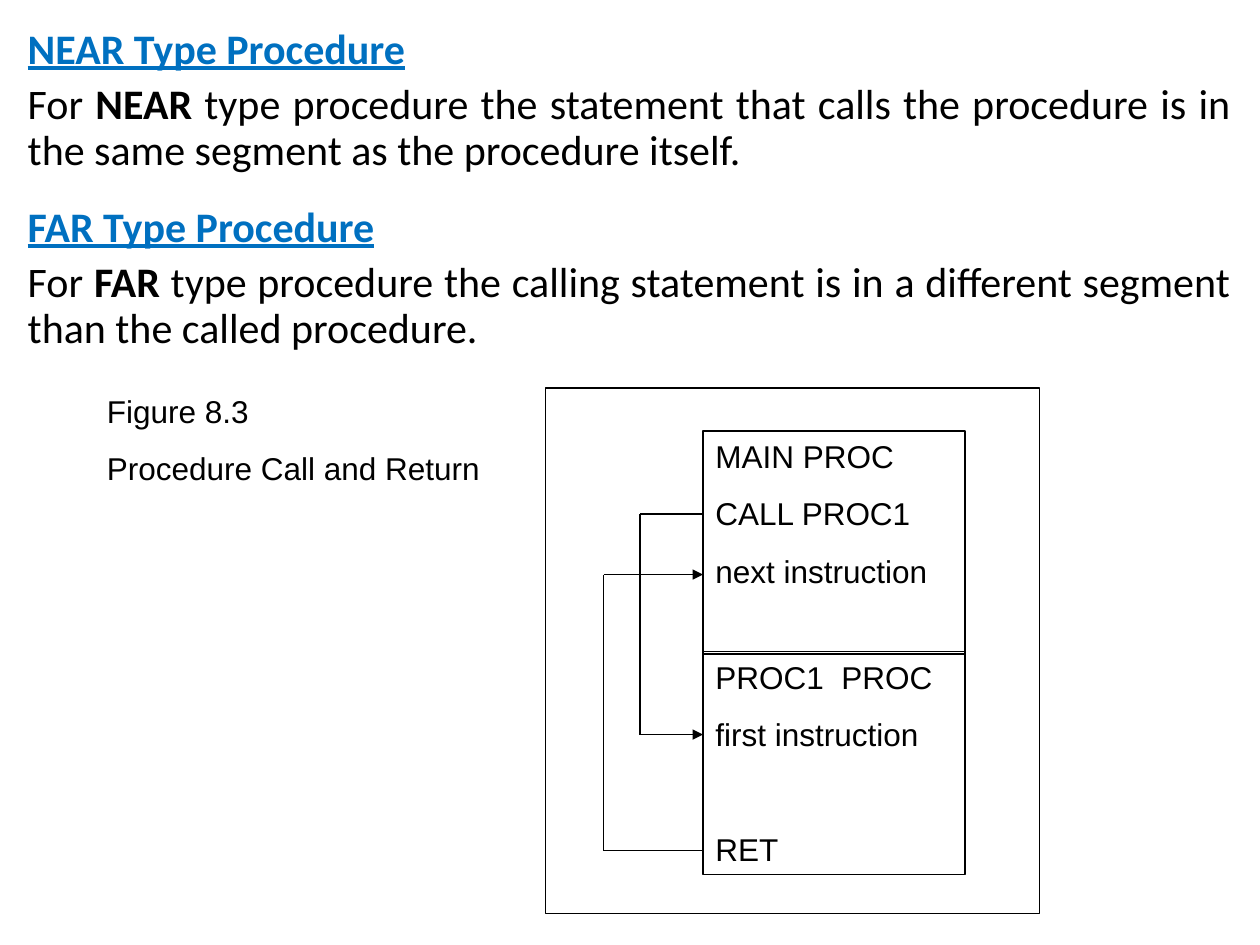
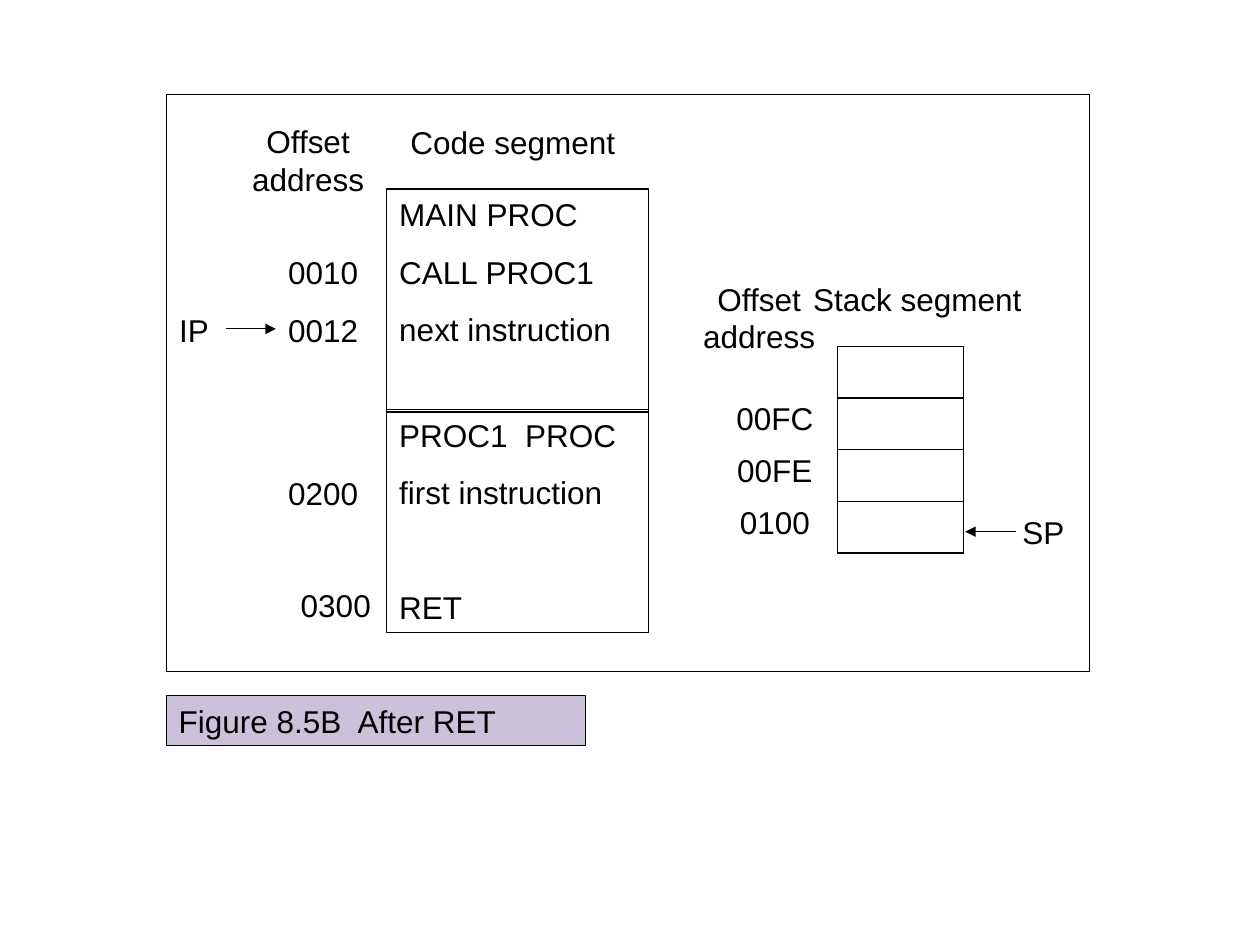
from lxml.etree import SubElement
from pptx import Presentation
from pptx.dml.color import RGBColor
from pptx.enum.shapes import MSO_CONNECTOR as Connector, MSO_SHAPE as Shape
from pptx.enum.text import MSO_ANCHOR as Anchor, MSO_AUTO_SIZE as AutoSize, PP_ALIGN as Align
from pptx.oxml.ns import qn
from pptx.util import Inches, Pt

COLORS = {"ink": "000000", "heading": "0070C0", "paper": "FFFFFF", "caption": "CCC1DA"}
HEADING = {"size": Pt(24), "name": "Calibri", "bold": True, "underline": True}
BODY = {"size": Pt(24), "name": "Calibri", "bold": False, "underline": False}
STRONG = {**BODY, "bold": True}
LABEL = {"size": Pt(18), "name": "Arial"}
LINE_GAP = 11.2  # points between lines of a label
SKIPPED_LINE = 44.1  # points that leave one line of a listing free

# Each paragraph: space before, then (text, format, colour) spans
DEFINITIONS = [
    (0, [("NEAR Type Procedure", HEADING, "heading")]),
    (6, [("For ", BODY, "ink"), ("NEAR ", STRONG, "ink"),
         ("type procedure the statement that calls the procedure is in "
          "the same segment as the procedure itself.", BODY, "ink")]),
    (18, [("FAR Type Procedure", HEADING, "heading")]),
    (6, [("For ", BODY, "ink"), ("FAR", STRONG, "ink"),
         (" type procedure the calling statement is in a different segment "
          "than the called procedure.", BODY, "ink")]),
]
FIGURE_TITLE = [("Figure 8.3", 0), ("Procedure Call and Return", LINE_GAP)]

# Each listing line: text, space before
MAIN_LISTING = [("MAIN PROC", 0), ("CALL PROC1", LINE_GAP), ("next instruction", LINE_GAP)]
PROC_LISTING = [("PROC1\tPROC", 0), ("first instruction", LINE_GAP), ("RET", SKIPPED_LINE)]
LISTING_WIDTH, LISTING_HEIGHT, LISTING_STEP = 2.08, 1.77, 1.75

CALL_PATH = [(5.58, 4.08), (5.08, 4.08), (5.08, 5.83), (5.58, 5.83)]
RETURN_PATH = [(5.58, 6.75), (4.79, 6.75), (4.79, 4.56), (5.58, 4.56)]

# Labels: text, left, top, width, height
SEGMENT_LABELS = [
    ("Offset address", 1.82, 0.92, 1.25, 0.7),
    ("Code segment", 3.07, 0.93, 2, 0.4),
    ("Offset address", 5.4, 2.17, 1.25, 0.7),
    ("Stack segment", 6.32, 2.17, 1.92, 0.4),
    ("IP", 1.25, 2.42, 0.58, 0.4),
    ("SP", 7.99, 4.02, 0.58, 0.4),
]
CODE_OFFSETS = [("0010", 2.15, 1.96), ("0012", 2.15, 2.42),
                ("0200", 2.15, 3.71), ("0300", 2.25, 4.6)]
STACK_OFFSETS = ["", "00FC", "00FE", "0100"]
STACK_LEFT, STACK_TOP, CELL_WIDTH, CELL_HEIGHT = 6.65, 2.75, 1, 0.41
IP_ARROW = [(1.79, 2.61), (2.19, 2.61)]
SP_ARROW = [(8.06, 4.22), (7.66, 4.22)]


def rgb(name):
    return RGBColor.from_string(COLORS[name])


def add_span(para, text, formats, color):
    span = para.add_run()
    span.text = text
    for key, value in formats.items():
        setattr(span.font, key, value)
    span.font.color.rgb = rgb(color)


def add_paragraphs(frame):
    """Yield the empty first paragraph, then new ones."""
    yield frame.paragraphs[0]
    while True:
        yield frame.add_paragraph()


def write_lines(box, lines, align=Align.LEFT, tab=None):
    """Fill a box with (text, space before) lines; tab is a stop in inches."""
    frame = box.text_frame
    frame.word_wrap = True
    frame.vertical_anchor = Anchor.TOP
    for (text, gap), para in zip(lines, add_paragraphs(frame)):
        if "\t" in text:
            stops = SubElement(para._p.get_or_add_pPr(), qn("a:tabLst"))
            SubElement(stops, qn("a:tab"), pos=str(Inches(tab)), algn="l")
        para.alignment = align
        para.space_before = Pt(gap)
        add_span(para, text, LABEL, "ink")


def add_box(page, left, top, width, height, fill=None):
    box = page.shapes.add_shape(Shape.RECTANGLE, *map(Inches, (left, top, width, height)))
    box.shadow.inherit = False
    box.line.color.rgb = rgb("ink")
    box.line.width = Pt(0.75)
    if fill:
        box.fill.solid()
        box.fill.fore_color.rgb = rgb(fill)
    else:
        box.fill.background()
    return box


def add_label(page, lines, left, top, width, height, align=Align.CENTER):
    box = page.shapes.add_textbox(*map(Inches, (left, top, width, height)))
    write_lines(box, lines, align)


def add_listings(page, left, top, main_fill=None):
    """Stack the main and called procedures as two slightly overlapping boxes."""
    for row, (lines, fill) in enumerate([(MAIN_LISTING, main_fill), (PROC_LISTING, None)]):
        box = add_box(page, left, top + row * LISTING_STEP, LISTING_WIDTH, LISTING_HEIGHT, fill)
        write_lines(box, lines, tab=1)


def add_route(page, points):
    """Join the points with straight lines, with an arrowhead at the last."""
    for start, end in zip(points, points[1:]):
        line = page.shapes.add_connector(Connector.STRAIGHT, *map(Inches, start + end))
        line.line.color.rgb = rgb("ink")
        line.line.width = Pt(0.75)
        SubElement(line._element.spPr, qn("a:effectLst"))
    SubElement(line.line._get_or_add_ln(), qn("a:tailEnd"), type="triangle")


def build_procedure_types(deck):
    page = deck.slides.add_slide(deck.slide_layouts[0])
    title = page.shapes.title
    title._element.getparent().remove(title._element)
    body = page.placeholders[1]
    body.left, body.top, body.width, body.height = map(Inches, (0.12, 0.17, 9.75, 2.67))
    frame = body.text_frame
    frame.auto_size = AutoSize.NONE
    frame.vertical_anchor = Anchor.TOP
    for (gap, spans), para in zip(DEFINITIONS, add_paragraphs(frame)):
        para.alignment = Align.JUSTIFY
        para.line_spacing = 0.9
        para.space_before = Pt(gap)
        for span in spans:
            add_span(para, *span)

    add_listings(page, 5.58, 3.42, "paper")
    add_route(page, CALL_PATH)
    add_route(page, RETURN_PATH)
    add_box(page, 4.33, 3.08, 3.92, 4.17)
    add_label(page, FIGURE_TITLE, 0.75, 3.06, 3.25, 0.86, Align.LEFT)


def build_after_return(deck):
    page = deck.slides.add_slide(deck.slide_layouts[6])
    add_listings(page, 3.07, 1.5)
    add_box(page, 1.32, 0.75, 7.33, 4.58)
    for row, offset in enumerate(STACK_OFFSETS):
        top = STACK_TOP + row * CELL_HEIGHT
        add_box(page, STACK_LEFT, top, CELL_WIDTH, CELL_HEIGHT)
        if offset:
            add_label(page, [(offset, 0)], STACK_LEFT - 1, top - 0.04, 1, 0.4)
    for text, left, top in CODE_OFFSETS:
        add_label(page, [(text, 0)], left, top, 0.83, 0.4)
    for text, *place in SEGMENT_LABELS:
        add_label(page, [(text, 0)], *place)
    add_route(page, IP_ARROW)
    add_route(page, SP_ARROW)
    caption = add_box(page, 1.32, 5.52, 3.33, 0.4, "caption")
    write_lines(caption, [("Figure 8.5B\tAfter RET", 0)], tab=1.42)


def main():
    deck = Presentation()
    deck.slide_width, deck.slide_height = Inches(10), Inches(7.5)
    build_procedure_types(deck)
    build_after_return(deck)
    deck.save("out.pptx")


if __name__ == "__main__":
    main()
